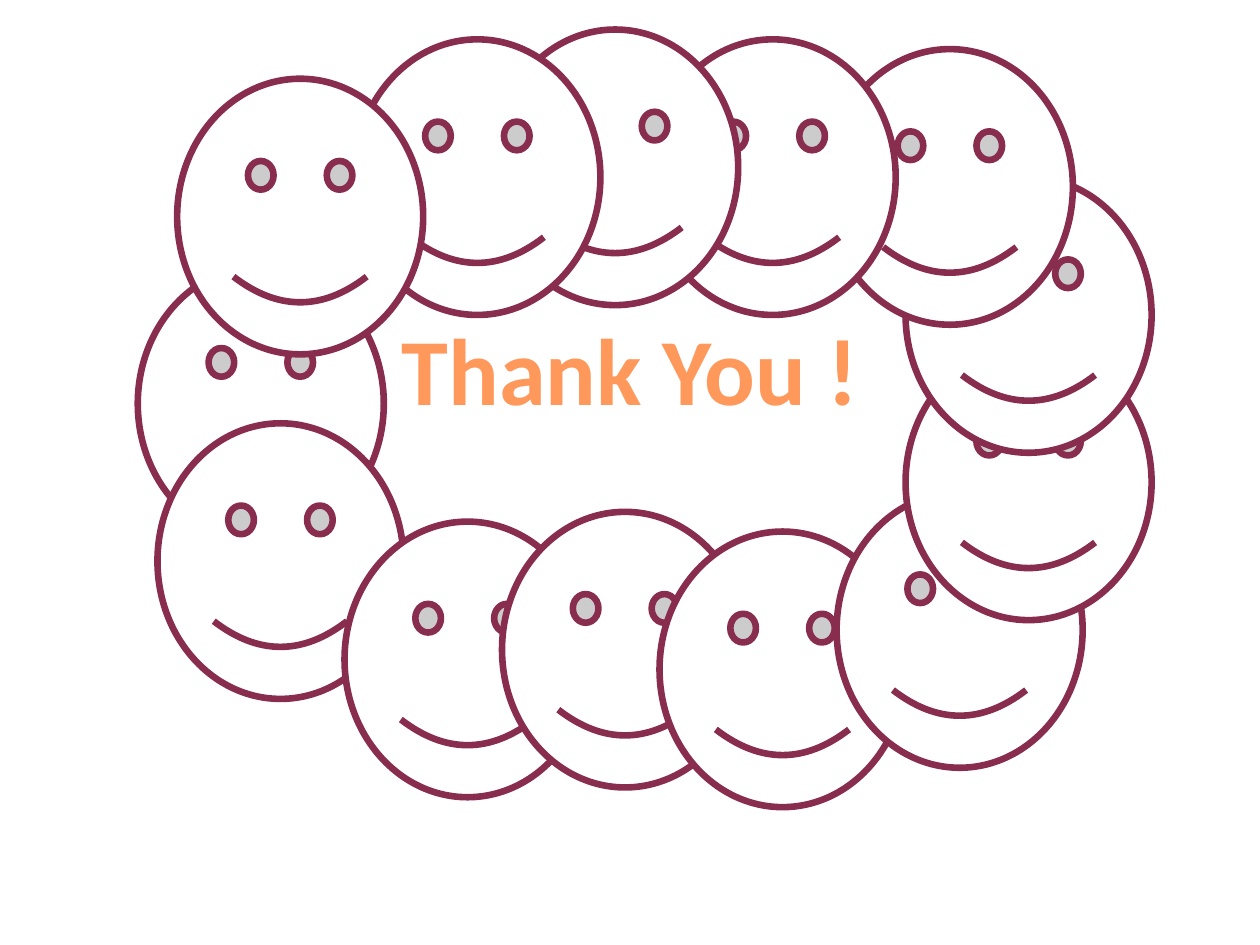
from pptx import Presentation
from pptx.dml.color import RGBColor
from pptx.enum.shapes import MSO_SHAPE
from pptx.enum.text import MSO_ANCHOR, MSO_AUTO_SIZE, PP_ALIGN
from pptx.util import Pt

SMILEY = MSO_SHAPE.SMILEY_FACE
TOP = MSO_ANCHOR.TOP
GROW = MSO_AUTO_SIZE.SHAPE_TO_FIT_TEXT
CENTER = PP_ALIGN.CENTER

COLORS = {"face": "FFFFFF", "outline": "882D4D", "thanks": "FF985B"}
FONT = "Calibri"

# Content: closing words, and the ring of faces from back to front (left, top)
THANKS = "Thank You !"
THANKS_BOX = (180, 174.4, 360, 72.7)
FACE_SIZE = (140.6, 157.5)
OUTLINE_WIDTH = 3.78
FACES = [
    (78.75, 151.9), (90, 241.9),                                    # left side
    (196.9, 298.1), (286.9, 292.5), (376.9, 303.75), (478.1, 281.25),  # bottom
    (517.5, 196.9), (517.5, 101.25),                                # right side
    (472.5, 28.1), (371.25, 22.5), (281.25, 16.9), (202.5, 22.5),   # top
    (101.25, 45),
]


def color(name):
    return RGBColor.from_string(COLORS[name])


def write_text(shape, text, *, size, fill, bold=False, align=CENTER):
    frame = shape.text_frame
    frame.word_wrap = True
    frame.auto_size = GROW
    frame.vertical_anchor = TOP
    paragraph = frame.paragraphs[0]
    paragraph.alignment = align
    run = paragraph.add_run()
    run.text = text
    run.font.name = FONT
    run.font.size = Pt(size)
    run.font.bold = bold
    run.font.color.rgb = color(fill)


def add_face(slide, left, top):
    width, height = FACE_SIZE
    face = slide.shapes.add_shape(SMILEY, Pt(left), Pt(top), Pt(width), Pt(height))
    face.shadow.inherit = False
    face.fill.solid()
    face.fill.fore_color.rgb = color("face")
    face.line.color.rgb = color("outline")
    face.line.width = Pt(OUTLINE_WIDTH)


def main():
    presentation = Presentation()
    presentation.slide_width, presentation.slide_height = Pt(720), Pt(540)
    slide = presentation.slides.add_slide(presentation.slide_layouts[5])

    # Title in the middle of the ring
    title = slide.shapes.title
    title.left, title.top, title.width, title.height = map(Pt, THANKS_BOX)
    write_text(title, THANKS, size=54, fill="thanks", bold=True)

    # Ring of smiling faces
    for left, top in FACES:
        add_face(slide, left, top)

    presentation.save("out.pptx")


if __name__ == "__main__":
    main()
